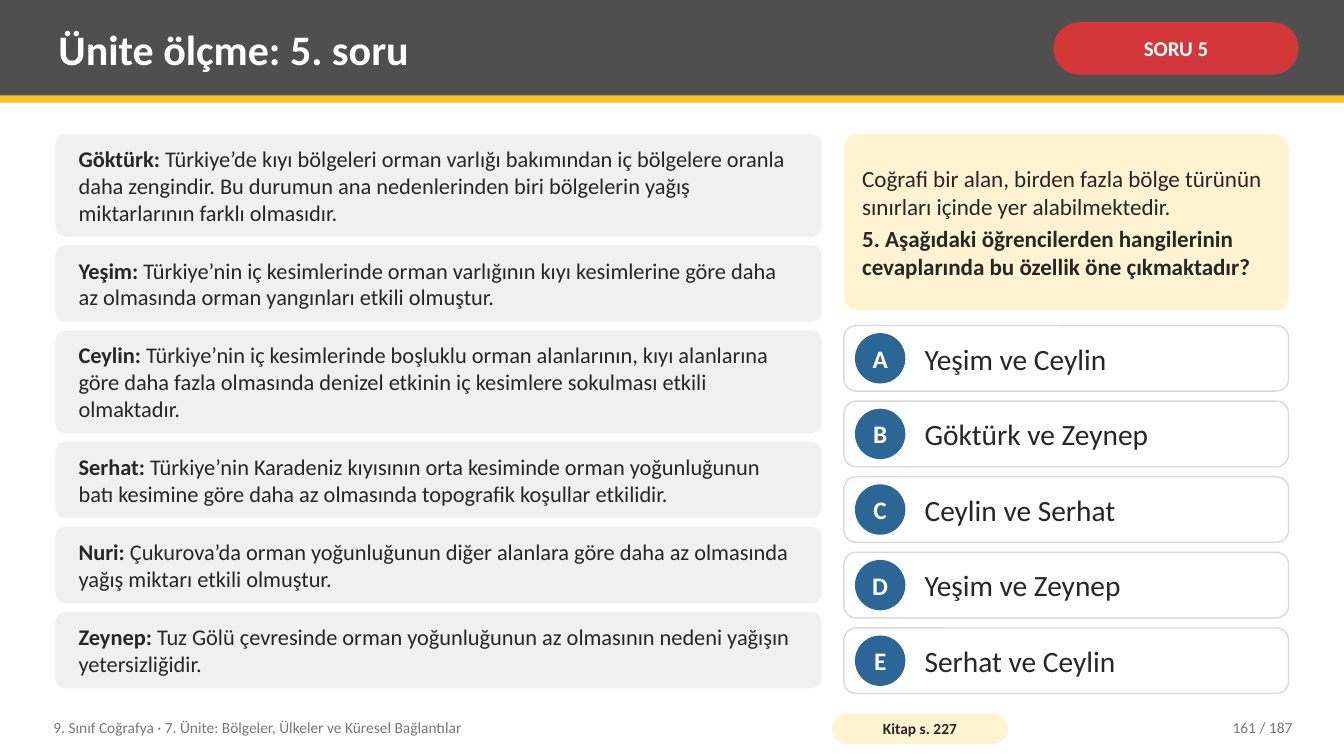
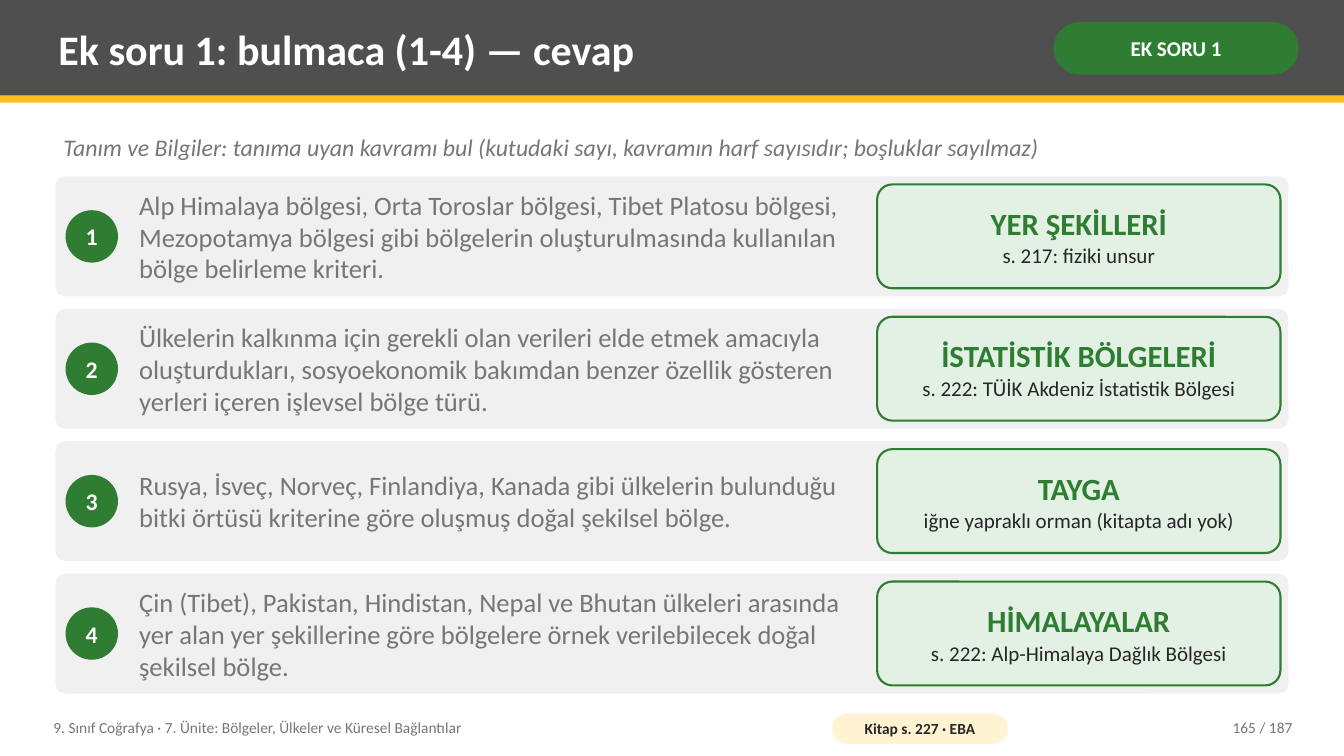
from dataclasses import dataclass

from pptx import Presentation
from pptx.dml.color import RGBColor
from pptx.enum.shapes import MSO_SHAPE as Shape
from pptx.enum.text import MSO_ANCHOR as Anchor, PP_ALIGN as Align
from pptx.util import Inches, Pt


@dataclass(frozen=True)
class Theme:
    font: str = "Calibri"
    band: str = "4F4F4F"
    gold: str = "FCC021"
    cream: str = "FFF3D1"
    card: str = "F0F0F0"
    border: str = "D9D9D9"
    white: str = "FFFFFF"
    ink: str = "262626"
    muted: str = "767676"
    red: str = "D3373A"
    blue: str = "2C6696"
    green: str = "2E7D32"
    pale_green: str = "E3F1E4"
    title_size: float = 30
    answer_size: float = 22
    option_size: float = 21
    clue_size: float = 19
    letter_size: float = 18
    note_size: float = 17
    prompt_size: float = 16.5
    student_size: float = 16
    label_size: float = 15
    footer_size: float = 11


WIDTH, HEIGHT = 13.33, 7.5
LEFT, CONTENT_WIDTH = 0.55, 12.23
BOTTOM = 6.88
TEXT_INSET = (0.08, 0.04)
PANEL_INSET = (0.14, 0.08)
PAGE_COUNT = 187
COURSE = "9. Sınıf Coğrafya · 7. Ünite: Bölgeler, Ülkeler ve Küresel Bağlantılar"

STUDENTS = [
    ("Göktürk:", 1.02, "Türkiye’de kıyı bölgeleri orman varlığı bakımından iç bölgelere oranla "
     "daha zengindir. Bu durumun ana nedenlerinden biri bölgelerin yağış miktarlarının farklı olmasıdır."),
    ("Yeşim:", 0.76, "Türkiye’nin iç kesimlerinde orman varlığının kıyı kesimlerine göre daha "
     "az olmasında orman yangınları etkili olmuştur."),
    ("Ceylin:", 1.02, "Türkiye’nin iç kesimlerinde boşluklu orman alanlarının, kıyı alanlarına "
     "göre daha fazla olmasında denizel etkinin iç kesimlere sokulması etkili olmaktadır."),
    ("Serhat:", 0.76, "Türkiye’nin Karadeniz kıyısının orta kesiminde orman yoğunluğunun "
     "batı kesimine göre daha az olmasında topografik koşullar etkilidir."),
    ("Nuri:", 0.76, "Çukurova’da orman yoğunluğunun diğer alanlara göre daha az olmasında "
     "yağış miktarı etkili olmuştur."),
    ("Zeynep:", 0.76, "Tuz Gölü çevresinde orman yoğunluğunun az olmasının nedeni yağışın "
     "yetersizliğidir."),
]

OPTIONS = ["Yeşim ve Ceylin", "Göktürk ve Zeynep", "Ceylin ve Serhat",
           "Yeşim ve Zeynep", "Serhat ve Ceylin"]

CLUES = [
    ("Alp Himalaya bölgesi, Orta Toroslar bölgesi, Tibet Platosu bölgesi, Mezopotamya bölgesi "
     "gibi bölgelerin oluşturulmasında kullanılan bölge belirleme kriteri.",
     "YER ŞEKİLLERİ", "s. 217: fiziki unsur"),
    ("Ülkelerin kalkınma için gerekli olan verileri elde etmek amacıyla oluşturdukları, "
     "sosyoekonomik bakımdan benzer özellik gösteren yerleri içeren işlevsel bölge türü.",
     "İSTATİSTİK BÖLGELERİ", "s. 222: TÜİK Akdeniz İstatistik Bölgesi"),
    ("Rusya, İsveç, Norveç, Finlandiya, Kanada gibi ülkelerin bulunduğu bitki örtüsü kriterine "
     "göre oluşmuş doğal şekilsel bölge.",
     "TAYGA", "iğne yapraklı orman (kitapta adı yok)"),
    ("Çin (Tibet), Pakistan, Hindistan, Nepal ve Bhutan ülkeleri arasında yer alan yer "
     "şekillerine göre bölgelere örnek verilebilecek doğal şekilsel bölge.",
     "HİMALAYALAR", "s. 222: Alp-Himalaya Dağlık Bölgesi"),
]


def stack(top, bottom, heights):
    gap = (bottom - top - sum(heights)) / (len(heights) - 1)
    tops = []
    for height in heights:
        tops.append(top)
        top += height + gap
    return tops


class Deck:
    def __init__(self, theme):
        self.theme = theme
        self.presentation = Presentation()
        self.presentation.slide_width = Inches(WIDTH)
        self.presentation.slide_height = Inches(HEIGHT)
        self.slide = None

    def add_text(self, shape, text, *, size, color, bold=False, italic=False,
                 align=Align.LEFT, after=0, same_line=False):
        frame = shape.text_frame
        paragraph = frame.paragraphs[-1]
        if paragraph.runs and not same_line:
            paragraph = frame.add_paragraph()
        paragraph.alignment = align
        paragraph.space_after = Pt(after)
        run = paragraph.add_run()
        run.text = text
        font = run.font
        font.name, font.size = self.theme.font, Pt(size)
        font.bold, font.italic = bold, italic
        font.color.rgb = RGBColor.from_string(color)

    def frame(self, shape, inset, anchor=Anchor.MIDDLE, wrap=True):
        frame = shape.text_frame
        frame.word_wrap = wrap
        frame.vertical_anchor = anchor
        frame.margin_left = frame.margin_right = Inches(inset[0])
        frame.margin_top = frame.margin_bottom = Inches(inset[1])

    def box(self, bounds, fill, *, kind=Shape.RECTANGLE, line=None, line_width=1,
            inset=TEXT_INSET, wrap=True):
        shape = self.slide.shapes.add_shape(kind, *map(Inches, bounds))
        shape.shadow.inherit = False
        shape.fill.solid()
        shape.fill.fore_color.rgb = RGBColor.from_string(fill)
        if line:
            shape.line.color.rgb = RGBColor.from_string(line)
            shape.line.width = Pt(line_width)
        else:
            shape.line.fill.background()
        self.frame(shape, inset, wrap=wrap)
        return shape

    def rounded(self, bounds, fill, radius, **options):
        shape = self.box(bounds, fill, kind=Shape.ROUNDED_RECTANGLE, **options)
        shape.adjustments[0] = radius / min(bounds[2:])
        return shape

    def pill(self, bounds, fill, text, inset, **style):
        shape = self.rounded(bounds, fill, bounds[3] / 2, inset=inset)
        self.add_text(shape, text, bold=True, align=Align.CENTER, **style)

    def badge(self, left, middle, diameter, fill, text, size):
        bounds = (left, middle - diameter / 2, diameter, diameter)
        shape = self.box(bounds, fill, kind=Shape.OVAL, inset=(0, 0), wrap=False)
        self.add_text(shape, text, size=size, color=self.theme.white, bold=True,
                      align=Align.CENTER)

    def text(self, bounds, text, *, anchor=Anchor.MIDDLE, **style):
        shape = self.slide.shapes.add_textbox(*map(Inches, bounds))
        self.frame(shape, TEXT_INSET, anchor)
        self.add_text(shape, text, **style)
        return shape

    def page(self, title, tag, tag_color, source, number):
        theme = self.theme
        self.slide = self.presentation.slides.add_slide(self.presentation.slide_layouts[6])
        self.box((0, 0, WIDTH, 0.95), theme.band)
        self.box((0, 0.95, WIDTH, 0.07), theme.gold)
        self.text((0.5, 0.07, 9.75, 0.82), title, size=theme.title_size,
                  color=theme.white, bold=True)
        self.pill((10.45, 0.22, 2.43, 0.52), tag_color, tag, (0.05, 0.02),
                  size=theme.label_size, color=theme.white)
        footer = {"size": theme.footer_size, "color": theme.muted}
        self.text((0.45, 7.04, 7.6, 0.36), COURSE, **footer)
        self.pill((8.25, 7.08, 1.75, 0.3), theme.cream, source, (0.04, 0),
                  size=theme.footer_size, color=theme.ink)
        self.text((11.3, 7.04, 1.6, 0.36), f"{number} / {PAGE_COUNT}",
                  align=Align.RIGHT, **footer)

    def student(self, top, height, name, answer):
        theme = self.theme
        style = {"size": theme.student_size, "color": theme.ink}
        self.rounded((LEFT, top, 7.6, height), theme.card, 0.1)
        shape = self.text((LEFT + 0.15, top, 7.3, height), name, bold=True, **style)
        self.add_text(shape, " " + answer, same_line=True, **style)

    def option(self, top, height, letter, answer):
        theme = self.theme
        self.rounded((8.37, top, 4.41, height), theme.white, 0.12, line=theme.border)
        self.badge(8.48, top + height / 2, 0.5, theme.blue, letter, theme.letter_size)
        self.text((9.09, top, 3.59, height), answer, size=theme.option_size, color=theme.ink)

    def clue(self, top, height, number, definition, concept, reference):
        theme = self.theme
        self.rounded((LEFT, top, CONTENT_WIDTH, height), theme.card, 0.1)
        self.badge(0.65, top + height / 2, 0.52, theme.green, str(number), theme.note_size)
        self.text((1.3, top, 7.38, height), definition, size=theme.clue_size,
                  color=theme.muted)
        answer = self.rounded((8.7, top + 0.08, 4, height - 0.16), theme.pale_green, 0.15,
                              line=theme.green, line_width=1.5, inset=PANEL_INSET)
        self.add_text(answer, concept, size=theme.answer_size, color=theme.green, bold=True,
                      align=Align.CENTER, after=1)
        self.add_text(answer, reference, size=theme.label_size, color=theme.ink,
                      align=Align.CENTER)


def question_slide(deck):
    theme = deck.theme
    deck.page("Ünite ölçme: 5. soru", "SORU 5", theme.red, "Kitap s. 227", 161)
    tops = stack(1.33, 6.83, [height for _, height, _ in STUDENTS])
    for top, (name, height, answer) in zip(tops, STUDENTS):
        deck.student(top, height, name, answer)
    prompt = deck.rounded((8.37, 1.33, 4.41, 1.75), theme.cream, 0.14, inset=PANEL_INSET)
    style = {"size": theme.prompt_size, "color": theme.ink}
    deck.add_text(prompt, "Coğrafi bir alan, birden fazla bölge türünün sınırları içinde "
                  "yer alabilmektedir.", after=3.3, **style)
    deck.add_text(prompt, "5. Aşağıdaki öğrencilerden hangilerinin cevaplarında bu özellik "
                  "öne çıkmaktadır?", bold=True, **style)
    height = 0.65
    tops = stack(3.23, BOTTOM, [height] * len(OPTIONS))
    for top, letter, answer in zip(tops, "ABCDE", OPTIONS):
        deck.option(top, height, letter, answer)


def puzzle_slide(deck):
    theme = deck.theme
    deck.page("Ek soru 1: bulmaca (1-4) — cevap", "EK SORU 1", theme.green,
              "Kitap s. 227 · EBA", 165)
    deck.text((LEFT, 1.28, CONTENT_WIDTH, 0.42),
              "Tanım ve Bilgiler: tanıma uyan kavramı bul (kutudaki sayı, kavramın harf "
              "sayısıdır; boşluklar sayılmaz)", anchor=Anchor.TOP, size=theme.note_size,
              color=theme.muted, italic=True)
    height = 1.19
    tops = stack(1.75, BOTTOM, [height] * len(CLUES))
    for number, (top, clue) in enumerate(zip(tops, CLUES), 1):
        deck.clue(top, height, number, *clue)


def main():
    deck = Deck(Theme())
    question_slide(deck)
    puzzle_slide(deck)
    deck.presentation.save("out.pptx")


if __name__ == "__main__":
    main()
